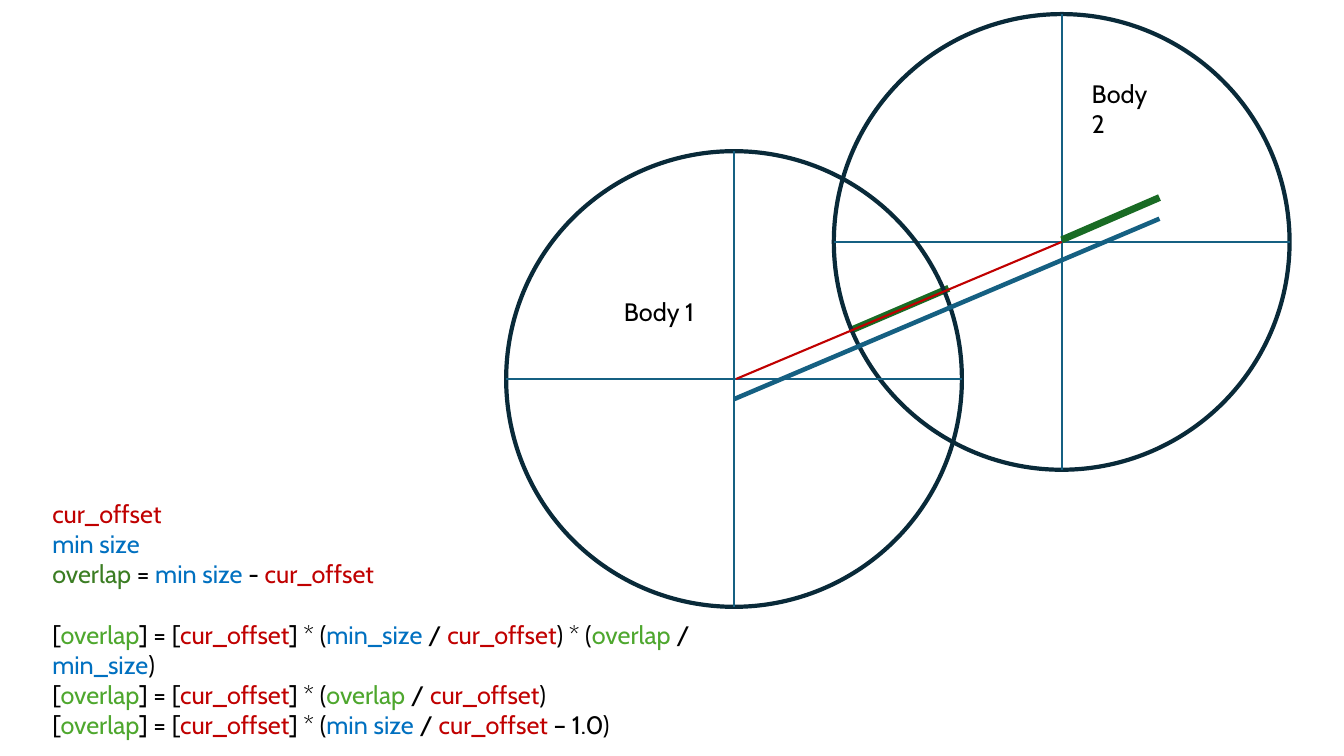
from dataclasses import dataclass
from typing import NamedTuple

from lxml import etree
from pptx import Presentation
from pptx import util as u
from pptx.dml.color import RGBColor
from pptx.enum import shapes, text
from pptx.oxml import ns

EMU_PER_PX = 9144  # 100 px to the inch


@dataclass(frozen=True)
class Theme:
    font: str = "Cabin"
    text_pt: float = 18
    group_gap_pt: float = 21.6
    ink: str = "000000"
    outline: str = "092A39"
    axis: str = "156082"
    overlap_line: str = "196B24"
    overlap_result: str = "3B7D23"
    overlap: str = "4EA72E"
    offset: str = "C00000"
    min_size: str = "0070C0"
    outline_pt: float = 3
    thin_pt: float = 1.5
    min_size_pt: float = 3.25
    overlap_pt: float = 5


class Point(NamedTuple):
    x: int
    y: int


class Term(NamedTuple):
    wording: str
    colour: str


class Formula(NamedTuple):
    terms: list[Term]
    starts_group: bool = False


class Box(NamedTuple):
    left: int
    top: int
    width: int
    height: int


class Body(NamedTuple):
    name: str
    centre: Point
    label: Box


class Segment(NamedTuple):
    start: Point
    end: Point
    colour: str
    width_pt: float


THEME = Theme()
RADIUS = 226

BODIES = [
    Body("Body 2", Point(1053, 240), Box(1073, 73, 93, 40)),
    Body("Body 1", Point(728, 376), Box(609, 289, 93, 40)),
]

SHARED_OVERLAP = Segment(Point(843, 328), Point(941, 286), THEME.overlap_line, THEME.overlap_pt)
MEASURES = [
    Segment(Point(730, 376), Point(1053, 240), THEME.offset, THEME.thin_pt),
    Segment(Point(1053, 238), Point(1150, 196), THEME.overlap_line, THEME.overlap_pt),
    Segment(Point(728, 396), Point(1150, 217), THEME.axis, THEME.min_size_pt),
]


def plain(wording: str) -> Term:
    return Term(wording, THEME.ink)


OFFSET = Term("cur_offset", THEME.offset)
MIN_SIZE = Term("min size", THEME.min_size)
MIN_SIZE_NAME = Term("min_size", THEME.min_size)
OVERLAP = Term("overlap", THEME.overlap)
OVERLAP_RESULT = Term("overlap", THEME.overlap_result)
# Every scaled formula opens with "[overlap] = [cur_offset] * (".
SCALED_OFFSET = [plain("["), OVERLAP, plain("] = ["), OFFSET, plain("] * (")]
PER_OFFSET = [plain(" / "), OFFSET]

FORMULAS_BOX = Box(42, 489, 755, 222)
FORMULAS = [
    Formula([OFFSET]),
    Formula([MIN_SIZE]),
    Formula([OVERLAP_RESULT, plain(" = "), MIN_SIZE, plain(" - "), OFFSET]),
    Formula([*SCALED_OFFSET, MIN_SIZE_NAME, *PER_OFFSET, plain(") * ("), OVERLAP,
             plain(" / "), MIN_SIZE_NAME, plain(")")], starts_group=True),
    Formula([*SCALED_OFFSET, OVERLAP, *PER_OFFSET, plain(")")]),
    Formula([*SCALED_OFFSET, MIN_SIZE, *PER_OFFSET, plain(" – 1.0)")]),
]


def px(length: int) -> u.Emu:
    return u.Emu(length * EMU_PER_PX)


def draw_segment(slide, segment: Segment) -> None:
    ends = [px(value) for value in (*segment.start, *segment.end)]
    line = slide.shapes.add_connector(shapes.MSO_CONNECTOR.STRAIGHT, *ends)
    line.line.color.rgb = RGBColor.from_string(segment.colour)
    line.line.width = u.Pt(segment.width_pt)
    etree.SubElement(line._element.spPr, ns.qn("a:effectLst"))


def draw_formulas(slide, box: Box, formulas: list[Formula]) -> None:
    """Write one paragraph per formula and one coloured run per term."""
    frame = slide.shapes.add_textbox(*map(px, box)).text_frame
    frame.word_wrap = True
    frame.auto_size = text.MSO_AUTO_SIZE.SHAPE_TO_FIT_TEXT
    for index, formula in enumerate(formulas):
        paragraph = frame.add_paragraph() if index else frame.paragraphs[0]
        if formula.starts_group:
            paragraph.space_before = u.Pt(THEME.group_gap_pt)
        for term in formula.terms:
            run = paragraph.add_run()
            run.text = term.wording
            run.font.name = THEME.font
            run.font.size = u.Pt(THEME.text_pt)
            run.font.color.rgb = RGBColor.from_string(term.colour)


def draw_body(slide, body: Body) -> None:
    """Draw a circle with its two diameters and its name."""
    x, y = body.centre
    bounds = Box(x - RADIUS, y - RADIUS, 2 * RADIUS, 2 * RADIUS)
    circle = slide.shapes.add_shape(shapes.MSO_SHAPE.OVAL, *map(px, bounds))
    circle.shadow.inherit = False
    circle.fill.background()
    circle.line.color.rgb = RGBColor.from_string(THEME.outline)
    circle.line.width = u.Pt(THEME.outline_pt)
    for dx, dy in ((0, RADIUS), (RADIUS, 0)):
        draw_segment(slide, Segment(Point(x - dx, y - dy), Point(x + dx, y + dy),
                                    THEME.axis, THEME.thin_pt))
    draw_formulas(slide, body.label, [Formula([plain(body.name)])])


def main() -> None:
    deck = Presentation()
    deck.slide_width, deck.slide_height = px(1333), px(750)
    slide = deck.slides.add_slide(deck.slide_layouts[6])
    draw_segment(slide, SHARED_OVERLAP)
    for body in BODIES:
        draw_body(slide, body)
    for measure in MEASURES:
        draw_segment(slide, measure)
    draw_formulas(slide, FORMULAS_BOX, FORMULAS)
    deck.save("out.pptx")


if __name__ == "__main__":
    main()
